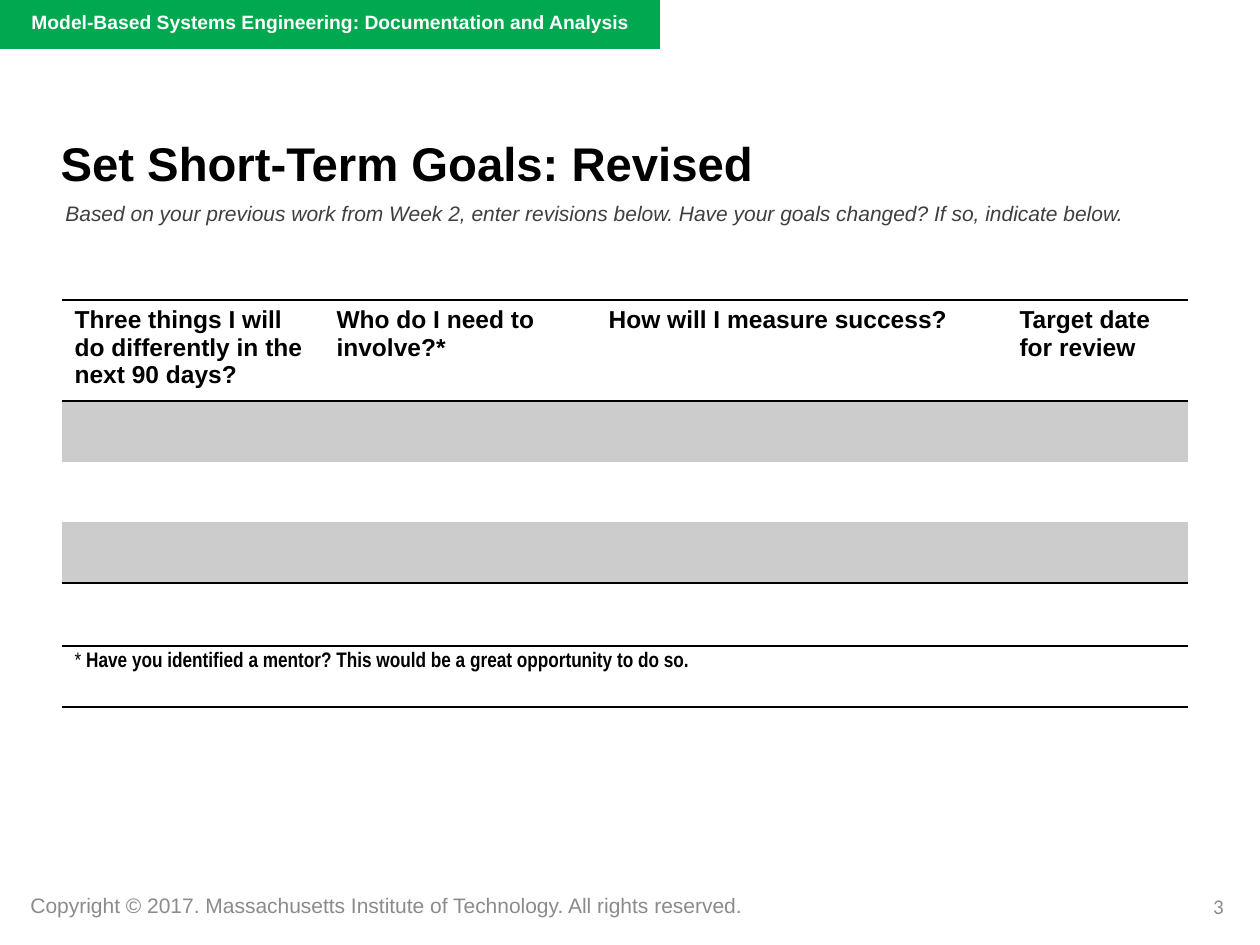
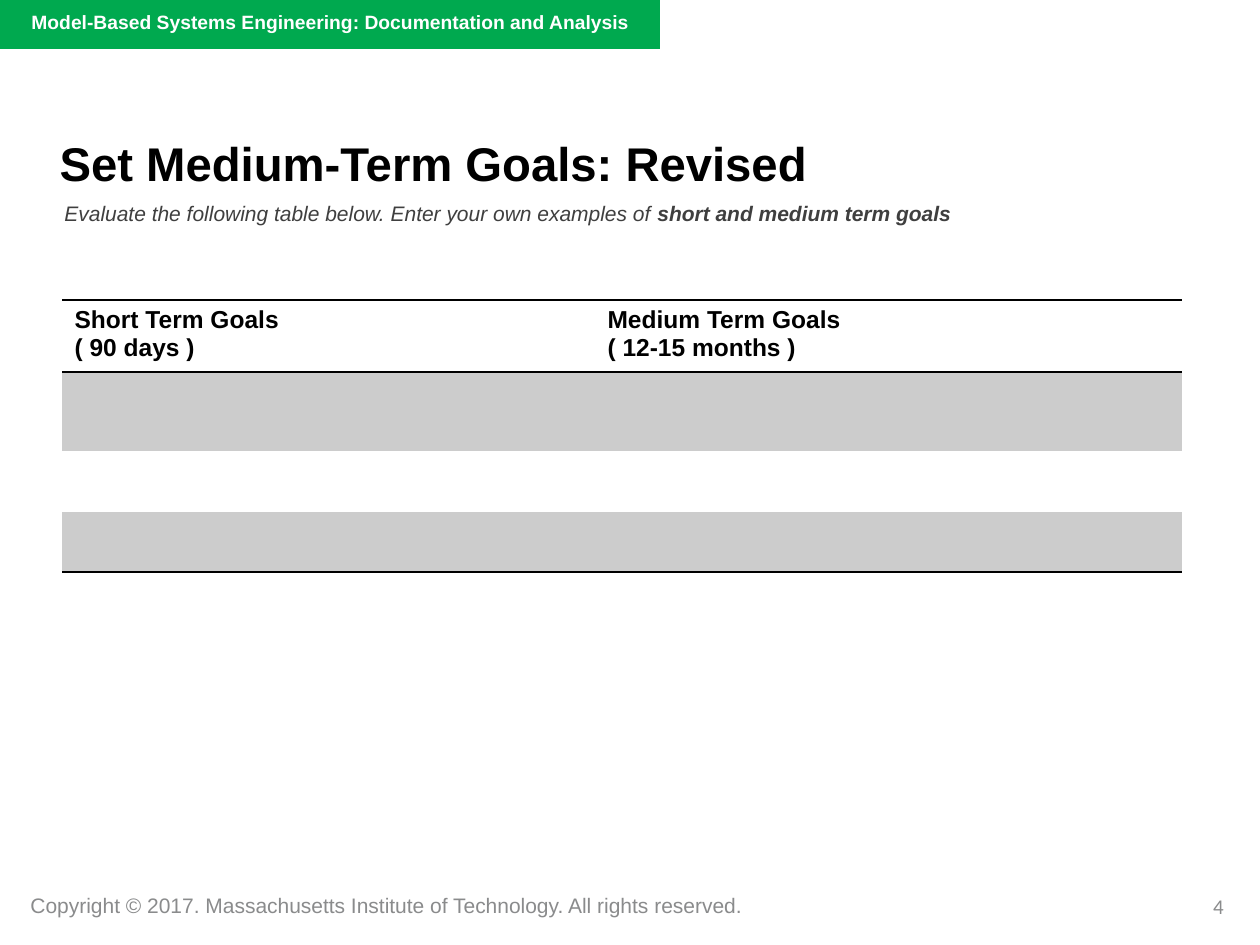
"""Build two goal-setting worksheet slides."""
from lxml.etree import SubElement
from pptx import Presentation
from pptx.dml.color import RGBColor
from pptx.enum.shapes import MSO_SHAPE
from pptx.enum.text import MSO_ANCHOR, MSO_AUTO_SIZE, PP_ALIGN
from pptx.oxml.ns import qn
from pptx.util import Inches, Pt

PX = Inches(1) / 126
BLACK = RGBColor(0x00, 0x00, 0x00)
WHITE = RGBColor(0xFF, 0xFF, 0xFF)
GREEN = RGBColor(0x00, 0xA9, 0x4F)
CHARCOAL = RGBColor(0x3F, 0x3F, 0x3F)
FOOTER_GRAY = RGBColor(0x8A, 0x8B, 0x8C)
STRIPE_GRAY = RGBColor(0xCC, 0xCC, 0xCC)
PLAIN_TABLE_STYLE = "{2D5ABB26-0587-4C30-8999-92F81FD0307C}"
TABLE_LEFT = 62
GOALS_TOP = 300
COURSE = "Model-Based Systems Engineering: Documentation and Analysis"
COPYRIGHT = "Copyright © 2017. Massachusetts Institute of Technology. All rights reserved."


def px(*lengths):
    """Turn pixel lengths into EMU."""
    return [round(length * PX) for length in lengths]


class Worksheet:
    """Hold the shared style and the current slide."""

    def __init__(self):
        """Start an empty presentation."""
        self.deck = Presentation()
        self.deck.slide_width, self.deck.slide_height = px(1260, 945)
        self.slide = None

    def start(self, title, left, number):
        """Add a slide with its band, title and footer."""
        self.slide = self.deck.slides.add_slide(self.deck.slide_layouts[5])
        self.band()
        self.text([(COURSE, True)], (19, 4, 660, 73), 11, WHITE)
        self.text([(COPYRIGHT, False)], (18, 886, 751, 38), 12, FOOTER_GRAY)
        self.text([(str(number), False)], (942, 887, 294, 50), 12, FOOTER_GRAY,
                  font="Calibri", align=PP_ALIGN.RIGHT)
        self.title(title, left)

    def band(self):
        """Draw the green header band."""
        band = self.slide.shapes.add_shape(MSO_SHAPE.RECTANGLE, *px(-1, 0, 661, 49))
        band.shadow.inherit = False
        band.fill.solid()
        band.fill.fore_color.rgb = GREEN
        band.line.fill.background()

    def title(self, title, left):
        """Fill and place the title placeholder."""
        holder = self.slide.shapes.title
        holder.left, holder.top, holder.width, holder.height = px(left, 126, 1072, 73)
        frame = holder.text_frame
        frame.word_wrap = True
        frame.auto_size = MSO_AUTO_SIZE.NONE
        frame.vertical_anchor = MSO_ANCHOR.MIDDLE
        self.fill_text(frame, [(title, True)], 27, BLACK)

    def text(self, parts, place, size, color, **style):
        """Add a text box."""
        frame = self.slide.shapes.add_textbox(*px(*place)).text_frame
        frame.word_wrap = True
        self.fill_text(frame, parts, size, color, **style)

    def fill_text(self, frame, parts, size, color, font="Arial", italic=False,
                  align=PP_ALIGN.LEFT):
        """Put (text, bold) parts into the first paragraph of a frame."""
        paragraph = frame.paragraphs[0]
        paragraph.alignment = align
        for words, bold in parts:
            run = paragraph.add_run()
            run.text = words
            run.font.name = font
            run.font.size = Pt(size)
            run.font.bold = bold
            run.font.italic = italic
            run.font.color.rgb = color

    def instruction(self, parts, left):
        """Add the italic instruction below the title."""
        self.text(parts, (left, 194, 1163, 62), 12, CHARCOAL, italic=True)

    def table(self, top, columns, rows):
        """Add an unstyled table with the given column and row sizes."""
        frame = self.slide.shapes.add_table(
            len(rows), len(columns),
            *px(TABLE_LEFT, top, sum(columns), sum(rows)))
        table = frame.table
        table.first_row = table.horz_banding = False
        table._tbl.tblPr.find(qn("a:tableStyleId")).text = PLAIN_TABLE_STYLE
        for column, width in zip(table.columns, px(*columns)):
            column.width = width
        for row, height in zip(table.rows, px(*rows)):
            row.height = height
        for cell in table.iter_cells():
            cell.fill.background()
        return table

    def rule(self, cell, *sides):
        """Draw black cell borders on the named sides, in T, B order."""
        properties = cell._tc.get_or_add_tcPr()
        for index, side in enumerate(sides):
            line = SubElement(properties, qn(f"a:ln{side}"), w=str(Pt(1)))
            fill = SubElement(line, qn("a:solidFill"))
            SubElement(fill, qn("a:srgbClr"), val=str(BLACK))
            properties.insert(index, line)

    def goals(self, headings, columns, rows):
        """Add a goals table with a heading row and striped entry rows."""
        table = self.table(GOALS_TOP, columns, rows)
        last = len(rows) - 1
        for column, heading in enumerate(headings):
            head = table.cell(0, column)
            head.text_frame.paragraphs[0].text = heading
            for run in head.text_frame.paragraphs[0].runs:
                run.font.name = "Arial"
                run.font.size = Pt(14)
                run.font.bold = True
                run.font.color.rgb = BLACK
            self.rule(head, "T", "B")
            for row in range(1, last + 1, 2):
                stripe = table.cell(row, column).fill
                stripe.solid()
                stripe.fore_color.rgb = STRIPE_GRAY
            self.rule(table.cell(last, column), "B")

    def footnote(self, parts, top, width):
        """Add a ruled one-cell table for a note."""
        note = self.table(top, [width], [61]).cell(0, 0)
        self.fill_text(note.text_frame, parts, 12, BLACK, font="Arial Narrow")
        self.rule(note, "T", "B")


def main():
    """Build and save both slides."""
    sheet = Worksheet()

    sheet.start("Set Short-Term Goals: Revised", 48, 3)
    sheet.instruction([("Based on your previous work from Week 2, enter revisions below. "
                        "Have your goals changed? If so, indicate below.", False)], 53)
    sheet.goals(["Three things I will do differently in the next 90 days?",
                 "Who do I need to involve?*",
                 "How will I measure success?",
                 "Target date for review"],
                [262, 272, 411, 181], [101, 61, 60, 61])
    sheet.footnote([("* ", False),
                    ("Have you identified a mentor? "
                     "This would be a great opportunity to do so.", True)], 646, 1126)

    sheet.start("Set Medium-Term Goals: Revised", 47, 4)
    sheet.instruction([("Evaluate the following table below. "
                        "Enter your own examples of ", False),
                       ("short and medium term goals", True)], 52)
    sheet.goals(["Short Term Goals\v( 90 days )", "Medium Term Goals\v( 12-15 months )"],
                [533, 587], [72, 79, 61, 60])

    sheet.deck.save("out.pptx")


if __name__ == "__main__":
    main()
